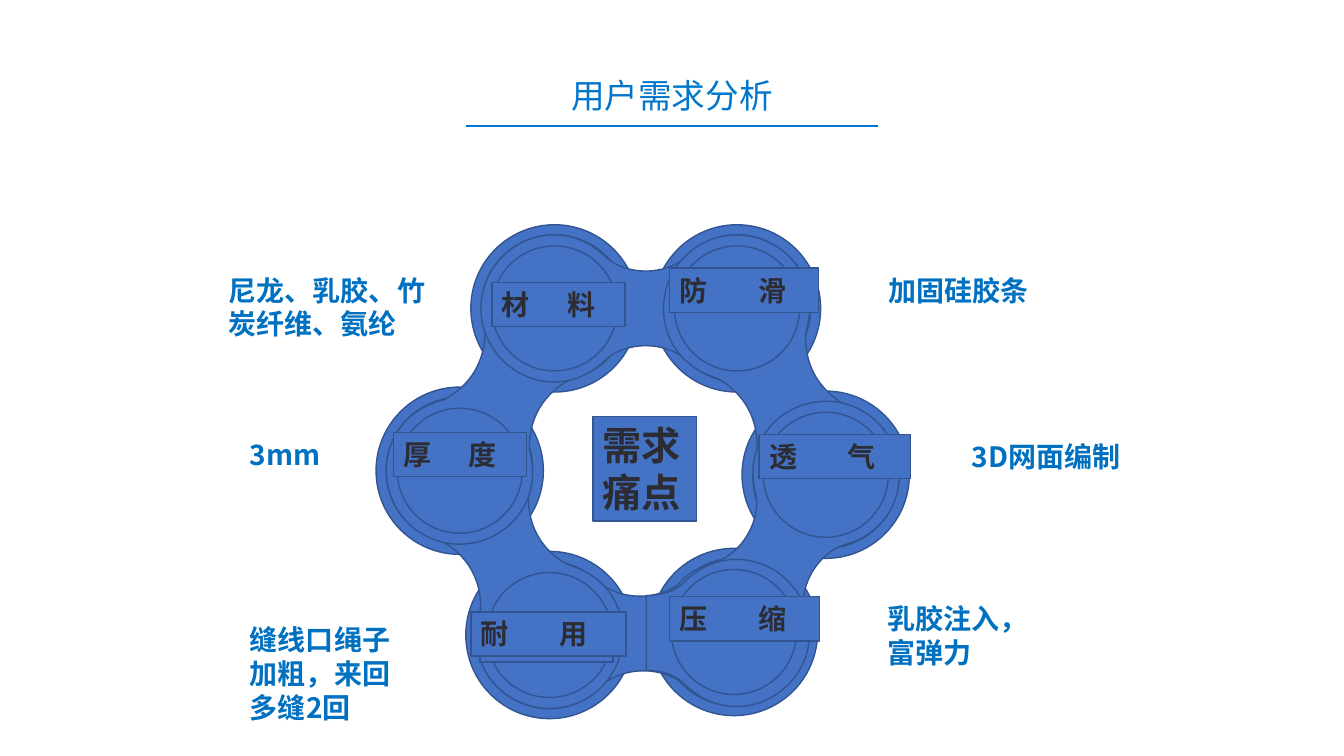
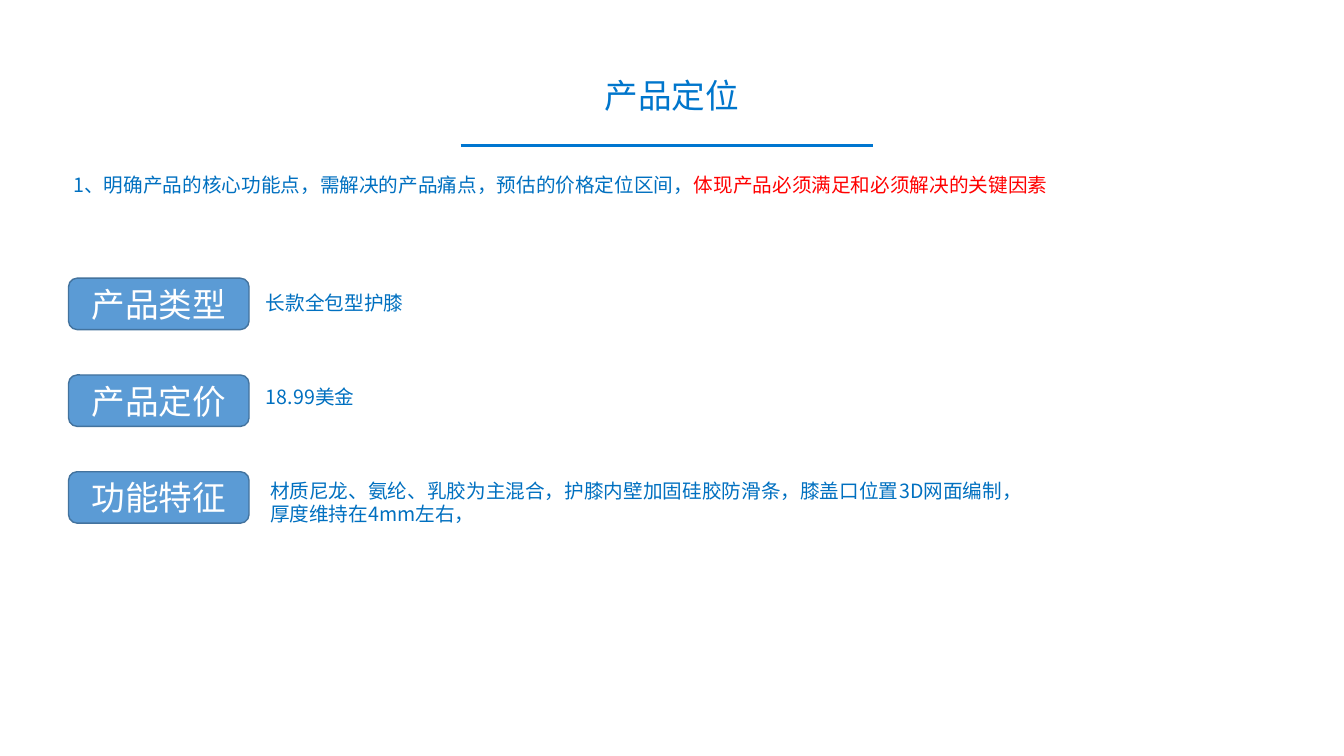
from dataclasses import dataclass
from math import hypot

from lxml import etree
from pptx import Presentation
from pptx.dml.color import RGBColor
from pptx.enum.shapes import MSO_CONNECTOR, MSO_SHAPE
from pptx.enum.text import MSO_ANCHOR, PP_ALIGN
from pptx.oxml.ns import qn
from pptx.util import Inches, Pt

RECT = MSO_SHAPE.RECTANGLE
OVAL = MSO_SHAPE.OVAL
BUTTON = MSO_SHAPE.FLOWCHART_ALTERNATE_PROCESS
STRAIGHT = MSO_CONNECTOR.STRAIGHT
LEFT, CENTER = PP_ALIGN.LEFT, PP_ALIGN.CENTER
TOP, MIDDLE = MSO_ANCHOR.TOP, MSO_ANCHOR.MIDDLE


@dataclass(frozen=True)
class Theme:
    font: str = "Noto Sans CJK SC"
    title: str = "0076CC"
    rule: str = "0076D0"
    body: str = "0070C0"
    accent: str = "FF0000"
    dark: str = "2C2C34"
    white: str = "FFFFFF"
    ring: str = "4472C4"
    ring_line: str = "325491"
    button: str = "5B9BD5"
    button_line: str = "43739E"
    title_size: int = 24
    core_size: int = 28
    label_size: int = 20
    body_size: int = 14


THEME = Theme()
SLIDE_W, SLIDE_H = 13.33, 7.5
RULE_W = 4.09

DISC_R, INNER_R = 0.83, 0.62
NODES = [(0.83, 2.45), (1.72, 4.08), (3.55, 4.05), (4.46, 2.49), (3.58, 0.84), (1.77, 0.84)]
LINKS = [(1, 2), (0, 1), (0, 5), (5, 4), (4, 3), (3, 2)]
LOBE_R, NECK = 0.73, 0.37
HALF_LINK = 0.89
LABEL_H = 0.44
LABELS = [
    ("材\t料", 1.15, 0.58, 1.32, 0.65),
    ("防\t滑", 2.91, 0.44, 1.48, 0.78),
    ("厚\t度", 0.17, 2.07, 1.32, 0.65),
    ("透\t气", 3.80, 2.09, 1.50, 0.78),
    ("压\t缩", 2.91, 3.70, 1.49, 0.78),
    ("耐\t用", 0.94, 3.85, 1.54, 0.78),
]
CAPTIONS = [
    ("尼龙、乳胶、竹炭纤维、氨纶", 2.17, 2.66, 2.28, 0.77),
    ("3mm", 2.38, 4.29, 1.17, 0.44),
    ("缝线口绳子加粗，来回多缝2回", 2.38, 6.13, 1.78, 1.11),
    ("加固硅胶条", 8.71, 2.66, 1.68, 0.44),
    ("3D网面编制", 9.54, 4.31, 1.97, 0.44),
    ("乳胶注入，富弹力", 8.70, 5.92, 1.70, 0.77),
]
INTRO = [
    ("1、明确产品的核心功能点，需解决的产品痛点，预估的价格定位区间，", THEME.body),
    ("体现产品必须满足和必须解决的关键因素", THEME.accent),
]
FEATURES = [
    ("产品类型", "长款全包型护膝", 0),
    ("产品定价", "18.99美金", 0),
    ("功能特征", "材质尼龙、氨纶、乳胶为主混合，护膝内壁加固硅胶防滑条，"
     "膝盖口位置3D网面编制，\n厚度维持在4mm左右，", 0.04),
]


def rgb(value):
    return RGBColor.from_string(value)


def format_run(r, size, color, bold=False):
    r.font.name = THEME.font
    etree.SubElement(r.font._element, qn("a:ea"), typeface=THEME.font)
    r.font.size = Pt(size)
    r.font.bold = bold
    r.font.color.rgb = rgb(color)


def set_text(sp, text, size, color, bold=False, align=LEFT, anchor=TOP, tab=None):
    tf = sp.text_frame
    tf.word_wrap = True
    tf.vertical_anchor = anchor
    tf.text = text
    for p in tf.paragraphs:
        p.alignment = align
        if tab:
            tabs = etree.SubElement(p._p.get_or_add_pPr(), qn("a:tabLst"))
            etree.SubElement(tabs, qn("a:tab"), pos=str(Inches(tab)), algn="l")
        for r in p.runs:
            format_run(r, size, color, bold)


def add_text(s, box, text, size, color, **style):
    sp = s.shapes.add_textbox(*map(Inches, box))
    set_text(sp, text, size, color, **style)


def paint(sp, fill, line):
    sp.shadow.inherit = False
    sp.fill.solid()
    sp.fill.fore_color.rgb = rgb(fill)
    sp.line.color.rgb = rgb(line)
    sp.line.width = Pt(1)


def add_block(s, kind, box, fill=THEME.ring, line=THEME.ring_line):
    sp = s.shapes.add_shape(kind, *map(Inches, box))
    paint(sp, fill, line)
    return sp


def add_title(s, text, rule_x, rule_y):
    add_text(s, (0, 0.69, SLIDE_W, 0.5), text, THEME.title_size, THEME.title, align=CENTER)
    ends = (rule_x, rule_y, rule_x + RULE_W, rule_y)
    rule = s.shapes.add_connector(STRAIGHT, *map(Inches, ends))
    rule.line.color.rgb = rgb(THEME.rule)
    rule.line.width = Pt(2)
    etree.SubElement(rule._element.spPr, qn("a:effectLst"))


def lobe_controls(reach):
    shoulder = reach - 0.53
    upper = [
        (0, NECK), (0.15, NECK), (0.29, 0.42), (shoulder, 0.49),
        (reach - 0.38, 0.64), (reach - 0.2, LOBE_R), (reach, LOBE_R),
        (reach + 0.4, LOBE_R), (reach + LOBE_R, 0.4), (reach + LOBE_R, 0),
    ]
    return upper + [(x, -y) for x, y in reversed(upper[:-1])]


def curve_segments(sp):
    segments = sp._element.findall(".//" + qn("a:lnTo"))
    for i in range(0, len(segments), 3):
        curve = etree.Element(qn("a:cubicBezTo"))
        segments[i].addprevious(curve)
        for segment in segments[i:i + 3]:
            curve.append(segment[0])
            segment.getparent().remove(segment)


def add_link(s, middle, end, both_sides=True):
    dx, dy = end[0] - middle[0], end[1] - middle[1]
    reach = hypot(dx, dy)
    ux, uy = dx / reach, dy / reach
    controls = lobe_controls(reach)
    if both_sides:
        controls += [(-x, -y) for x, y in controls[1:]]
    points = [(Inches(middle[0] + x * ux - y * uy), Inches(middle[1] + x * uy + y * ux))
              for x, y in controls]
    builder = s.shapes.build_freeform(*points[0], scale=1.0)
    builder.add_line_segments(points[1:], close=True)
    sp = builder.convert_to_shape()
    curve_segments(sp)
    paint(sp, THEME.ring, THEME.ring_line)


def add_discs(s, centers, radius):
    for x, y in centers:
        add_block(s, OVAL, (x - radius, y - radius, 2 * radius, 2 * radius))


def add_ring(s, left, top):
    centers = [(left + x, top + y) for x, y in NODES]
    add_discs(s, centers, DISC_R)
    for i, j in LINKS:
        (x1, y1), (x2, y2) = centers[i], centers[j]
        add_link(s, ((x1 + x2) / 2, (y1 + y2) / 2), (x2, y2))
    seam = (left + 2.68, top + 4.06)
    add_link(s, seam, (seam[0] + HALF_LINK, seam[1]), both_sides=False)
    add_discs(s, centers, INNER_R)
    core = add_block(s, RECT, (left + 2.15, top + 1.91, 1.03, 1.04))
    set_text(core, "需求\n痛点", THEME.core_size, THEME.dark, bold=True)
    add_block(s, RECT, (left + 1.03, top + 3.91, 1.32, LABEL_H))
    for text, x, y, width, tab in LABELS:
        label = add_block(s, RECT, (left + x, top + y, width, LABEL_H))
        set_text(label, text, THEME.label_size, THEME.dark, bold=True, tab=tab)


def add_intro(s, box):
    sp = s.shapes.add_textbox(*map(Inches, box))
    sp.text_frame.word_wrap = True
    p = sp.text_frame.paragraphs[0]
    for text, color in INTRO:
        r = p.add_run()
        r.text = text
        format_run(r, THEME.body_size, color)


def add_features(s, left, top):
    for i, (name, detail, indent) in enumerate(FEATURES):
        button = add_block(s, BUTTON, (left, top + 0.96 * i, 1.79, 0.51),
                           THEME.button, THEME.button_line)
        set_text(button, name, THEME.title_size, THEME.white, align=CENTER, anchor=MIDDLE)
        add_text(s, (left + 1.86 + indent, top + 0.08 + 0.93 * i, 8.4, 0.34),
                 detail, THEME.body_size, THEME.body)


def needs_slide(s):
    add_title(s, "用户需求分析", 4.62, 1.25)
    add_ring(s, 3.73, 2.22)
    for text, *box in CAPTIONS:
        add_text(s, box, text, THEME.label_size, THEME.body, bold=True)


def positioning_slide(s):
    add_title(s, "产品定位", 4.57, 1.44)
    add_intro(s, (0.63, 1.67, 10.35, 0.34))
    add_features(s, 0.68, 2.76)


def main():
    prs = Presentation()
    prs.slide_width, prs.slide_height = Inches(SLIDE_W), Inches(SLIDE_H)
    for build in (needs_slide, positioning_slide):
        build(prs.slides.add_slide(prs.slide_layouts[6]))
    prs.save("out.pptx")


if __name__ == "__main__":
    main()
